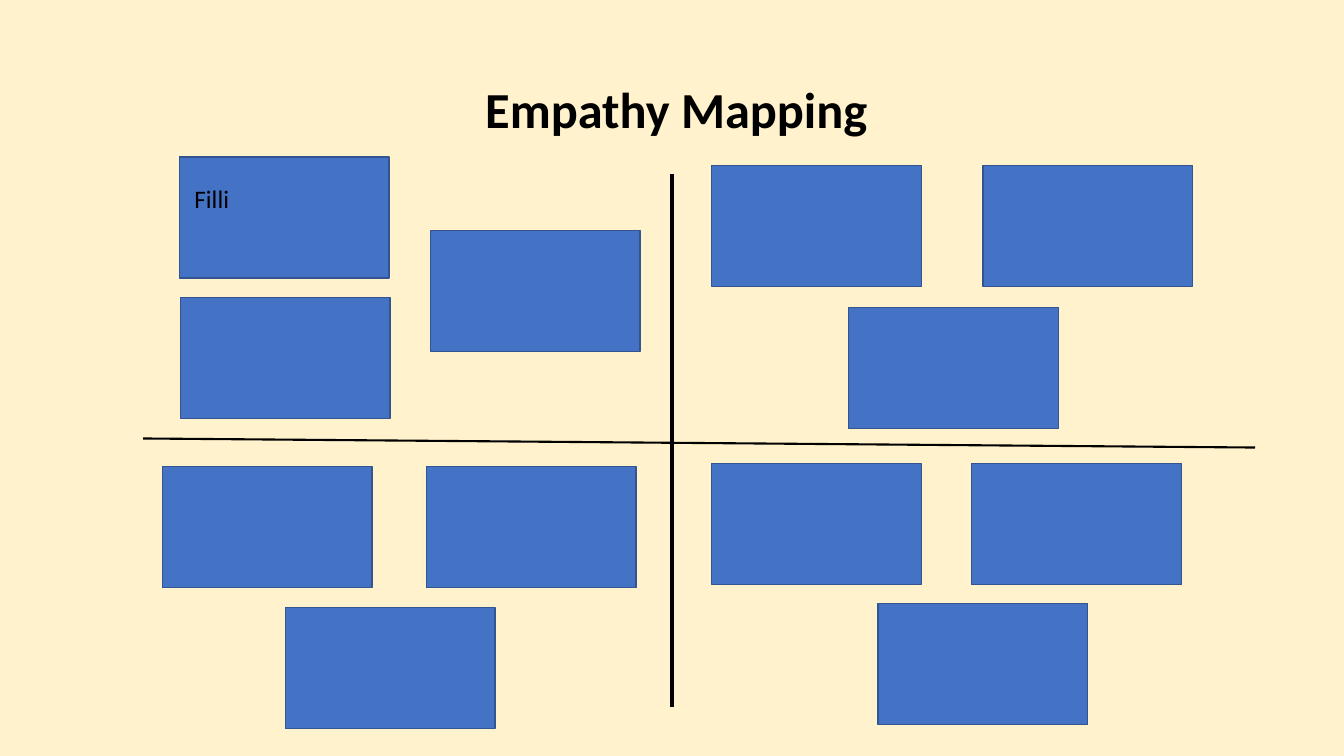
import pptx
import pptx.util
import pptx.dml.color
import pptx.enum.shapes
import pptx.enum.text
import pptx.oxml.ns
import lxml.etree

THEME = {
    "font": "Calibri",
    "background": "FFF2CC",
    "ink": "000000",
    "card": "4472C4",
    "card_edge": "325491",
    "title_size": 36,
    "note_size": 18,
}

deck = pptx.Presentation()
deck.slide_width = pptx.util.Inches(13.33)
deck.slide_height = pptx.util.Inches(7.5)
page = deck.slides.add_slide(deck.slide_layouts[6])


def color(name):
    return pptx.dml.color.RGBColor.from_string(THEME[name])


def place(*percents):
    sides = (deck.slide_width, deck.slide_height) * 2
    return [round(side * percent / 100) for side, percent in zip(sides, percents)]


page.background.fill.solid()
page.background.fill.fore_color.rgb = color("background")

axes = [
    ((50, 23.07, 50, 93.47), 2.25),
    ((10.65, 58, 93.38, 59.2), 1.5),
]
for ends, weight in axes:
    axis = page.shapes.add_connector(
        pptx.enum.shapes.MSO_CONNECTOR.STRAIGHT, *place(*ends)
    )
    axis.line.color.rgb = color("ink")
    axis.line.width = pptx.util.Pt(weight)
    properties = axis._element.spPr
    lxml.etree.SubElement(properties, pptx.oxml.ns.qn("a:effectLst"))

card_width, card_height = 15.6, 16
quadrants = {
    "top left": [(32.03, 30.53), (13.43, 39.33), (13.35, 20.8)],
    "bottom left": [(12.08, 61.73), (21.23, 80.4), (31.73, 61.73)],
    "top right": [(73.13, 21.87), (63.15, 40.67), (52.95, 21.87)],
    "bottom right": [(72.3, 61.33), (65.33, 79.87), (52.95, 61.33)],
}
for corners in quadrants.values():
    for left, top in corners:
        card = page.shapes.add_shape(
            pptx.enum.shapes.MSO_SHAPE.RECTANGLE,
            *place(left, top, card_width, card_height),
        )
        card.shadow.inherit = False
        card.fill.solid()
        card.fill.fore_color.rgb = color("card")
        card.line.color.rgb = color("card_edge")
        card.line.width = pptx.util.Pt(1)

align = pptx.enum.text.PP_ALIGN
texts = [
    ("Empathy Mapping", (16.5, 9.73, 67.65, 9.47), "title_size", True, align.CENTER),
    ("Filli", (13.73, 23.6, 14.55, 5.33), "note_size", False, align.LEFT),
]
for wording, area, size, bold, alignment in texts:
    box = page.shapes.add_textbox(*place(*area))
    box.text_frame.word_wrap = True
    para = box.text_frame.paragraphs[0]
    para.alignment = alignment
    span = para.add_run()
    span.text = wording
    span.font.name = THEME["font"]
    span.font.size = pptx.util.Pt(THEME[size])
    span.font.bold = bold
    span.font.color.rgb = color("ink")

deck.save("out.pptx")
